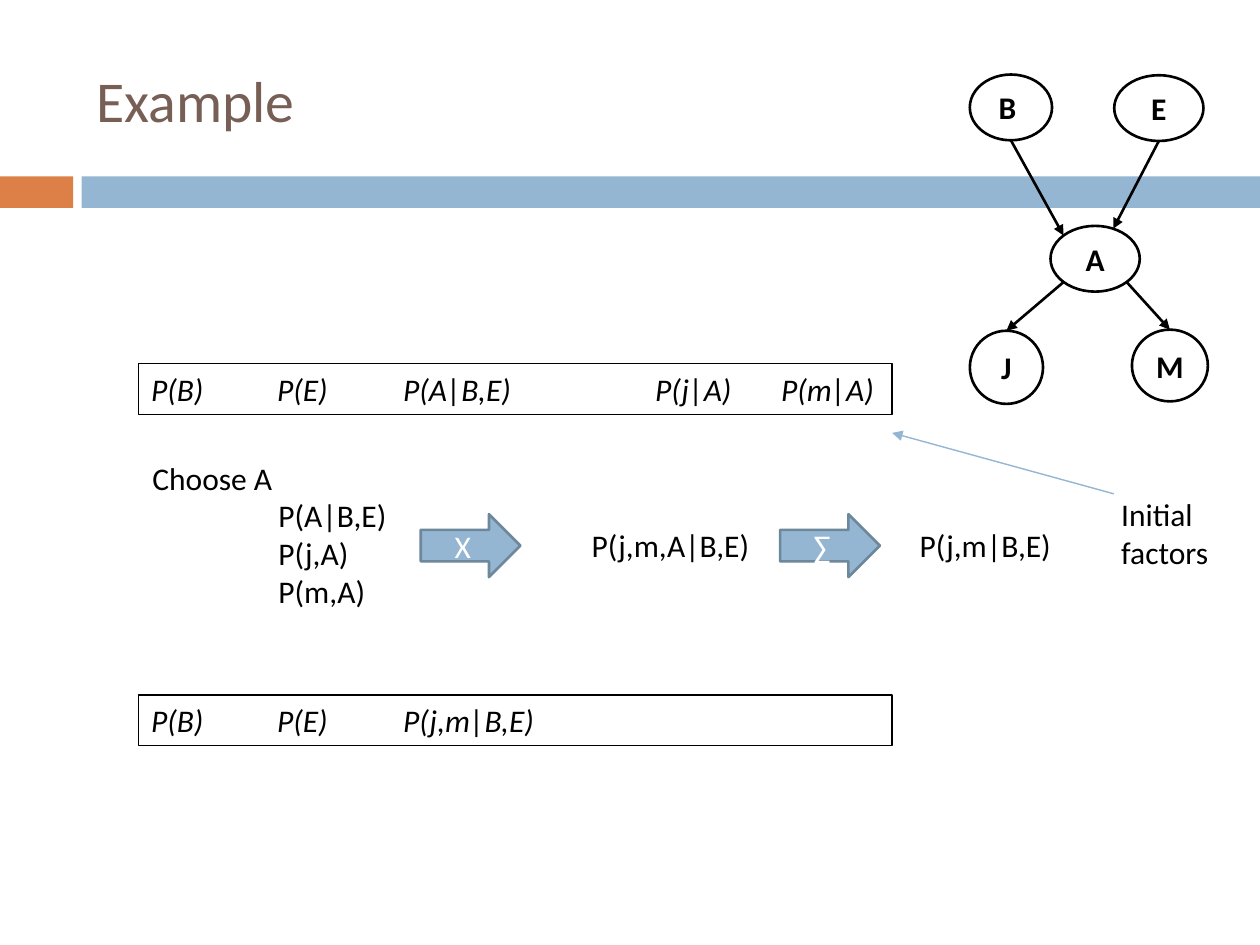
from math import cos, radians, sin
from pptx import Presentation
from pptx.dml.color import RGBColor
from pptx.enum.shapes import MSO_CONNECTOR as Conn, MSO_SHAPE as Shape
from pptx.enum.text import MSO_ANCHOR as Anchor, PP_ALIGN as Align
from pptx.oxml.ns import qn
from pptx.util import Pt
from lxml.etree import SubElement

THEME = {
    "font": "Calibri", "title": 33, "body": 18,
    "black": "000000", "white": "FFFFFF", "brown": "775F55",
    "blue": "94B6D2", "slate": "6D879B", "orange": "DD8047",
}
TAB = 72

BANDS = [(0, 41.8, "orange"), (46.6, 673.4, "blue")]
TITLE = ("Example", (48, 18, 642, 78))
FACTORS = [
    ("P(B)\tP(E)\tP(A|B,E)\t\tP(j|A)\tP(m|A)", 207.8),
    ("P(B)\tP(E)\tP(j,m|B,E)", 397.2),
]
NOTES = [
    ("Initial factors", (633.6, 279.2, 66.2, 51)),
    ("Choose A\n\tP(A|B,E)\n\tP(j,A)\n\tP(m,A)", (80, 258.5, 190.8, 94.4)),
    ("P(j,m,A|B,E)", (331, 297.1, 144.7, 29)),
    ("P(j,m|B,E)", (518.4, 297.1, 144.7, 29)),
]
STEPS = [("X", 240.4), ("∑", 445.8)]
NODES = {
    "B": ("B ", (554.2, 42.6, 47, 37.6)),
    "E": ("E", (636.7, 43, 51, 37.6)),
    "A": ("A", (600.3, 129.1, 51, 37.6)),
    "J": ("J", (554.2, 189, 41.8, 41.8)),
    "M": ("M", (646.8, 188.4, 43.4, 41)),
}
EDGES = [("B", 90, "A", 225), ("E", 90, "A", -66),
         ("A", 45, "M", -90), ("A", 135, "J", -90)]
POINTER = ((636.5, 282.2), (509.8, 247.4))


def tint(name):
    return RGBColor.from_string(THEME[name])


def add_tabs(para):
    stops = SubElement(para._p.get_or_add_pPr(), qn("a:tabLst"))
    for place in range(1, para.text.count("\t") + 1):
        SubElement(stops, qn("a:tab"), pos=str(Pt(TAB * place)), algn="l")


def write(item, text, size="body", color="black", bold=None, italic=None,
          align=Align.LEFT, anchor=Anchor.TOP, wrap=True):
    frame = item.text_frame
    frame.text = text
    frame.word_wrap = wrap
    frame.vertical_anchor = anchor
    for para in frame.paragraphs:
        para.alignment = align
        if "\t" in para.text:
            add_tabs(para)
        for run in para.runs:
            font = run.font
            font.name, font.size = THEME["font"], Pt(THEME[size])
            font.bold, font.italic = bold, italic
            font.color.rgb = tint(color)


def label(slide, text, box, **style):
    write(slide.shapes.add_textbox(*map(Pt, box)), text, **style)


def draw(slide, kind, box, fill=None, line=None, width=1.5):
    item = slide.shapes.add_shape(kind, *map(Pt, box))
    item.shadow.inherit = False
    if fill:
        item.fill.solid()
        item.fill.fore_color.rgb = tint(fill)
    else:
        item.fill.background()
    if line:
        item.line.color.rgb = tint(line)
        item.line.width = Pt(width)
    else:
        item.line.fill.background()
    return item


def arrow(slide, start, end, color="black", width=1.5):
    link = slide.shapes.add_connector(Conn.STRAIGHT, *map(Pt, start + end))
    link.line.color.rgb = tint(color)
    link.line.width = Pt(width)
    props = link._element.spPr
    SubElement(props.find(qn("a:ln")), qn("a:tailEnd"), type="triangle")
    SubElement(props, qn("a:effectLst"))


def rim(node, angle):
    left, top, width, height = NODES[node][1]
    turn = radians(angle)
    return (left + width / 2 * (1 + cos(turn)),
            top + height / 2 * (1 + sin(turn)))


def main():
    deck = Presentation()
    deck.slide_width, deck.slide_height = Pt(720), Pt(540)
    slide = deck.slides.add_slide(deck.slide_layouts[6])

    for left, width, fill in BANDS:
        draw(slide, Shape.RECTANGLE, (left, 100.8, width, 18), fill)
    label(slide, *TITLE, size="title", color="brown", anchor=Anchor.MIDDLE)
    arrow(slide, *POINTER, color="blue", width=0.79)

    for text, top in FACTORS:
        box = draw(slide, Shape.RECTANGLE, (79.2, top, 430.6, 29),
                   line="black", width=0.75)
        write(box, text, italic=True)
    for text, box in NOTES:
        label(slide, text, box)

    center = {"align": Align.CENTER, "anchor": Anchor.MIDDLE}
    for text, left in STEPS:
        step = draw(slide, Shape.RIGHT_ARROW, (left, 293.8, 57, 36),
                    "blue", "slate")
        write(step, text, color="white", **center)
    for text, box in NODES.values():
        node = draw(slide, Shape.OVAL, box, "white", "black")
        write(node, text, bold=True, wrap=False, **center)
    for source, out, target, into in EDGES:
        arrow(slide, rim(source, out), rim(target, into))

    deck.save("out.pptx")


if __name__ == "__main__":
    main()
